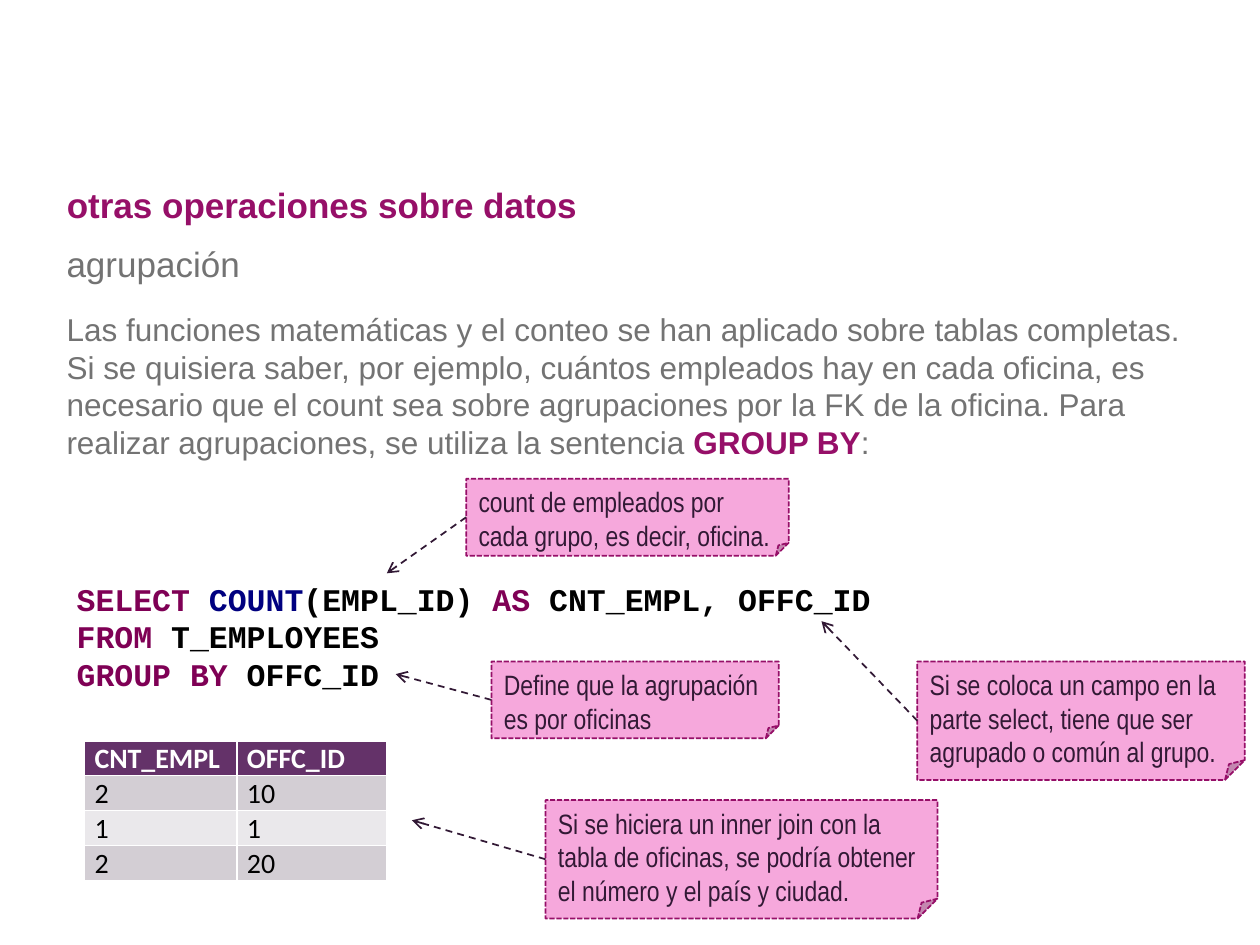
from pptx import Presentation
from pptx.dml.color import RGBColor
from pptx.enum.dml import MSO_LINE
from pptx.enum.shapes import MSO_CONNECTOR, MSO_SHAPE
from pptx.enum.text import MSO_ANCHOR, PP_ALIGN
from pptx.oxml.ns import qn
from pptx.util import Pt
from lxml import etree

PX = 9144
FOLDED, STRAIGHT = MSO_SHAPE.FOLDED_CORNER, MSO_CONNECTOR.STRAIGHT
SYS_DASH, DASH = MSO_LINE.SQUARE_DOT, MSO_LINE.DASH
TOP, MIDDLE, BOTTOM = MSO_ANCHOR.TOP, MSO_ANCHOR.MIDDLE, MSO_ANCHOR.BOTTOM
LEFT = PP_ALIGN.LEFT
LEFT_SITE = 1

MAGENTA = RGBColor(0x96, 0x0F, 0x68)
GRAY = RGBColor(0x73, 0x73, 0x73)
KEYWORD = RGBColor(0x7F, 0x00, 0x55)
FUNCTION = RGBColor(0x00, 0x00, 0x80)
BLACK = RGBColor(0x00, 0x00, 0x00)
WHITE = RGBColor(0xFF, 0xFF, 0xFF)
PINK = RGBColor(0xF6, 0xA8, 0xDC)
PLUM = RGBColor(0x32, 0x19, 0x35)
HEADER = RGBColor(0x64, 0x32, 0x69)
BAND_DARK = RGBColor(0xD3, 0xCE, 0xD4)
BAND_LIGHT = RGBColor(0xEA, 0xE8, 0xEB)

INTRO = [
    ("Las funciones matemáticas y el conteo se han aplicado sobre tablas completas. "
     "Si se quisiera saber, por ejemplo, cuántos empleados hay en cada oficina, es "
     "necesario que el count sea sobre agrupaciones por la FK de la oficina. Para "
     "realizar agrupaciones, se utiliza la sentencia ", GRAY, False),
    ("GROUP BY", MAGENTA, True),
    (":", GRAY, False),
]
QUERY = [
    [("SELECT ", KEYWORD, True), ("COUNT", FUNCTION, True), ("(EMPL_ID) ", BLACK, True),
     ("AS", KEYWORD, True), (" CNT_EMPL, OFFC_ID", BLACK, True)],
    [("FROM ", KEYWORD, True), ("T_EMPLOYEES", BLACK, True)],
    [("GROUP BY", KEYWORD, True), (" OFFC_ID", BLACK, True)],
]
RESULT = [("CNT_EMPL", "OFFC_ID"), ("2", "10"), ("1", "1"), ("2", "20")]
CALLOUTS = [
    ((370, 380, 256, 61), (307, 455), "count de empleados por cada grupo, es decir, oficina."),
    ((390, 525, 228, 61), (314, 535), "Define que la agrupación es por oficinas"),
    ((728, 525, 260, 94), (652, 493),
     "Si se coloca un campo en la parte select, tiene que ser agrupado o común al grupo."),
    ((433, 635, 311, 94), (327, 651),
     "Si se hiciera un inner join con la tabla de oficinas, se podría obtener "
     "el número y el país y ciudad."),
]


def scale(box):
    """Turn px lengths into EMU."""
    return [length * PX for length in box]


def style_font(font, name, size, color, bold=False):
    """Set the face, size, colour and weight of a font."""
    font.name, font.size, font.bold = name, Pt(size), bold
    font.color.rgb = color


def write_lines(text_frame, lines, name, size, anchor):
    """Fill a text frame with lines made of (text, colour, bold) runs."""
    text_frame.word_wrap = True
    text_frame.vertical_anchor = anchor
    for index, line in enumerate(lines):
        paragraph = text_frame.add_paragraph() if index else text_frame.paragraphs[0]
        paragraph.alignment = LEFT
        for text, color, bold in line:
            run = paragraph.add_run()
            run.text = text
            style_font(run.font, name, size, color, bold)


def place_title(slide, box):
    """Move and format the title placeholder."""
    title = slide.shapes.title
    title.left, title.top, title.width, title.height = scale(box)
    write_lines(title.text_frame, [[("otras operaciones sobre datos", MAGENTA, True)]],
                "Arial", 20, MIDDLE)


def add_text(slide, box, lines, name, size, anchor=TOP):
    """Add a wrapped text box."""
    text_box = slide.shapes.add_textbox(*scale(box))
    write_lines(text_box.text_frame, lines, name, size, anchor)


def add_callout(slide, box, target, text):
    """Add a folded note with a dashed arrow from its left side to the target."""
    note = slide.shapes.add_shape(FOLDED, *scale(box))
    note.shadow.inherit = False
    note.fill.solid()
    note.fill.fore_color.rgb = PINK
    note.line.color.rgb = MAGENTA
    note.line.width = Pt(1)
    note.line.dash_style = SYS_DASH
    write_lines(note.text_frame, [[(text, PLUM, False)]], "Arial Narrow", 16, TOP)

    left, top, _, height = box
    arrow = slide.shapes.add_connector(
        STRAIGHT, *scale((left, top + height // 2, *target)))
    arrow.begin_connect(note, LEFT_SITE)
    arrow.line.color.rgb = PLUM
    arrow.line.width = Pt(1)
    arrow.line.dash_style = DASH
    etree.SubElement(arrow.line._get_or_add_ln(), qn("a:tailEnd"), type="arrow")
    etree.SubElement(arrow._element.spPr, qn("a:effectLst"))


def add_result_table(slide, box):
    """Add the query result with a header and banded rows."""
    table = slide.shapes.add_table(len(RESULT), len(RESULT[0]), *scale(box)).table
    table.columns[0].width, table.columns[1].width = scale((121, 119))
    for row, values in enumerate(RESULT):
        fill = BAND_DARK if row % 2 else BAND_LIGHT
        for column, value in enumerate(values):
            cell = table.cell(row, column)
            cell.fill.solid()
            cell.fill.fore_color.rgb = fill if row else HEADER
            cell.margin_left, cell.margin_top, cell.margin_right, cell.margin_bottom = scale(
                (8, 1, 8, 0))
            cell.vertical_anchor = BOTTOM
            cell.text_frame.text = value
            style_font(cell.text_frame.paragraphs[0].runs[0].font, "Calibri", 16,
                       BLACK if row else WHITE, row == 0)


def main():
    """Build the slide and save it."""
    presentation = Presentation()
    presentation.slide_width, presentation.slide_height = scale((1000, 750))
    slide = presentation.slides.add_slide(presentation.slide_layouts[5])
    place_title(slide, (43, 139, 906, 47))
    add_text(slide, (43, 186, 906, 47), [[("agrupación", GRAY, False)]], "Arial", 20, MIDDLE)
    add_text(slide, (43, 241, 917, 457), [INTRO], "Arial", 18)
    add_text(slide, (51, 455, 659, 101), QUERY, "Courier New", 18)
    add_result_table(slide, (67, 588, 240, 110))
    for box, target, text in CALLOUTS:
        add_callout(slide, box, target, text)
    presentation.save("out.pptx")


if __name__ == "__main__":
    main()
